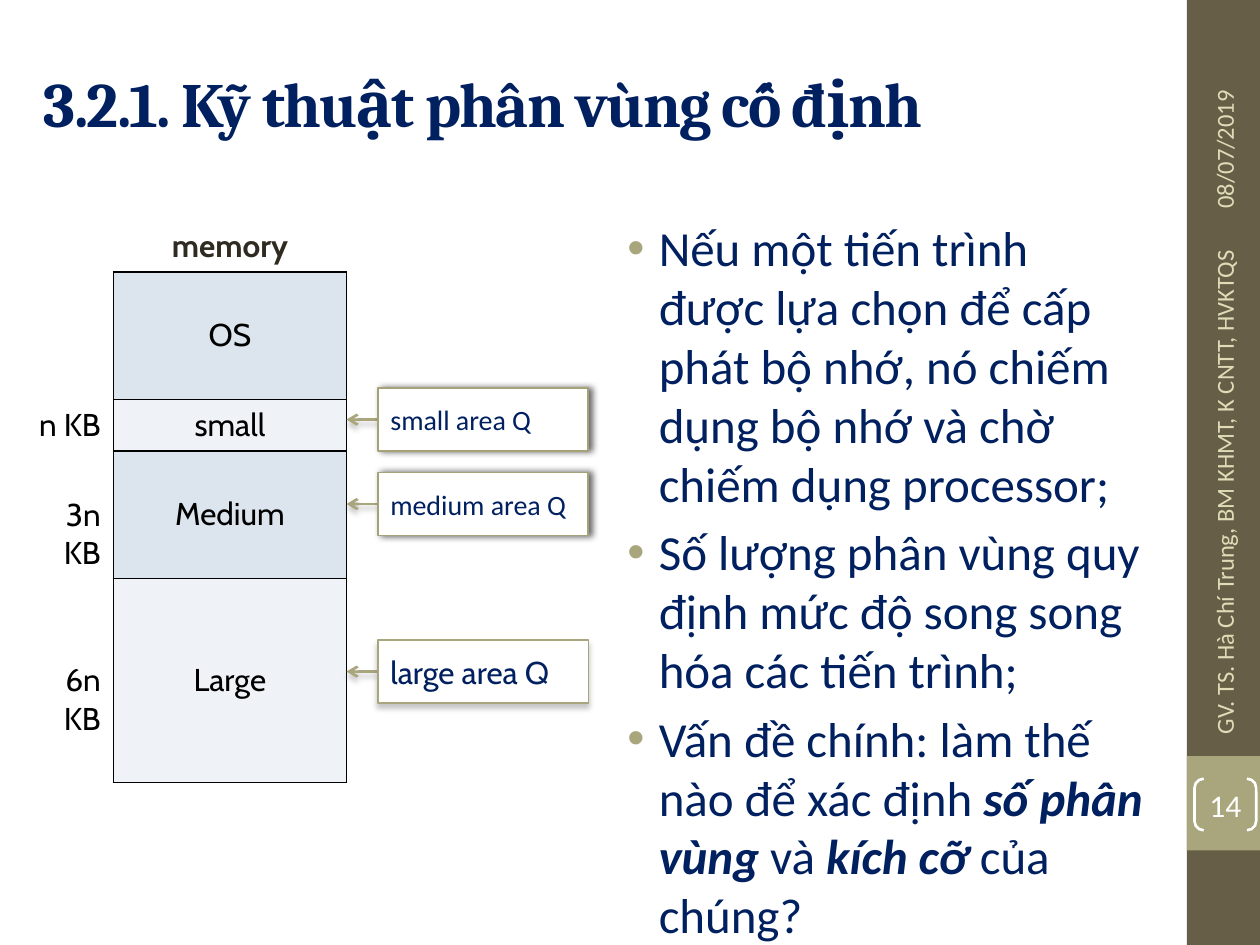
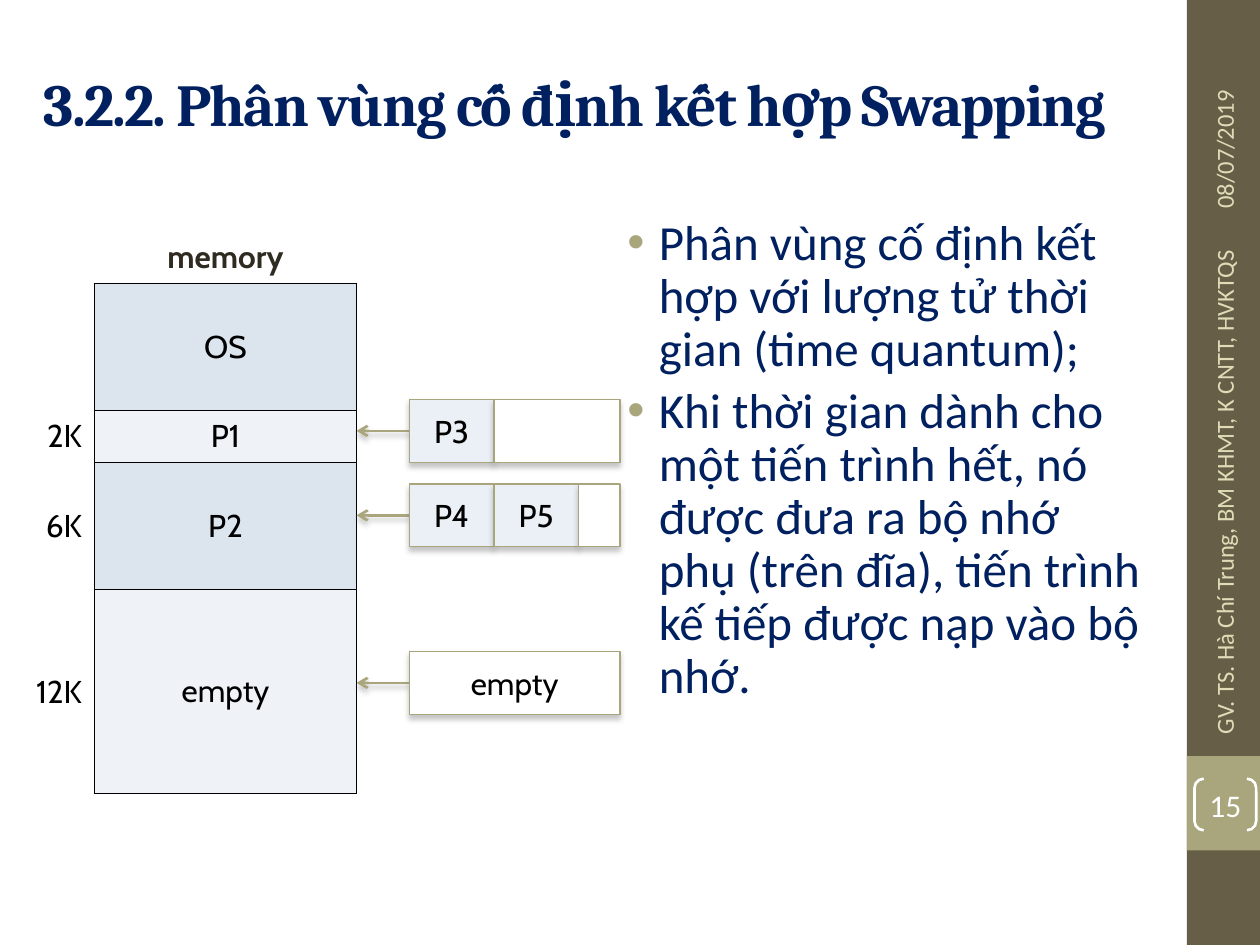
from pptx import Presentation
from pptx.dml.color import RGBColor as Rgb
from pptx.enum.shapes import MSO_CONNECTOR as Link, MSO_SHAPE as Kind
from pptx.enum.text import MSO_ANCHOR as Anchor, PP_ALIGN as Align
from pptx.oxml import parse_xml
from pptx.oxml.ns import nsdecls
from pptx.util import Inches, Pt

HUES = {
    "white": "FFFFFF", "black": "000000", "navy": "002060", "ink": "2F2B20",
    "band": "675E47", "olive": "A9A57C", "edge": "A6A278", "sand": "DFDCB7",
    "blue": "DCE5EE", "pale": "EFF3F7", "job": "EAF0F6", "gray": "808080",
}

FONTS = {
    "title": ({"name": "Cambria", "size": Pt(36), "bold": True}, "navy"),
    "body": ({"name": "Calibri", "size": Pt(28)}, "navy"),
    "foot": ({"name": "Calibri", "size": Pt(14)}, "sand"),
    "page": ({"name": "Calibri", "size": Pt(18)}, "white"),
    "head": ({"name": "Cabin", "size": Pt(18), "bold": True}, "ink"),
    "cell": ({"name": "Cabin", "size": Pt(18)}, "black"),
    "area": ({"name": "Calibri", "size": Pt(16)}, "navy"),
    "large": ({"name": "Cabin", "size": Pt(18)}, "navy"),
}

# hue, opacity %, blur pt, distance pt, angle
SOFT = ("gray", 45, 3, 2.4, 90)
SIDE = ("black", 60, 4, 2, 0)

LINE = 0.305  # height of one line of cell text
HEIGHTS = (0.41, 1.01, 0.41, 1.01, 1.62)
SKIPS = (0, 1, 0, 1, 2)  # lines above each size label
QUEUE_TOPS = (1.33, 2, 3.33)  # from the top of the memory table
QUEUE_H = 0.5
JOB_W = 0.67


def rgb(hue):
    return Rgb.from_string(HUES[hue])


def put(thing, values):
    for key, value in values.items():
        setattr(thing, key, value)


def write(para, text, style, **extra):
    values, hue = FONTS[style]
    run = para.add_run()
    run.text = text
    put(run.font, {**values, **extra})
    run.font.color.rgb = rgb(hue)
    return run


def shade(shape, hue, alpha, blur, dist, angle):
    """Give a shape or connector an outer shadow."""
    props = shape._element.spPr
    for old in props.findall("{*}effectLst"):
        props.remove(old)
    props.append(parse_xml(
        f'<a:effectLst {nsdecls("a")}><a:outerShdw blurRad="{Pt(blur)}" '
        f'dist="{Pt(dist)}" dir="{angle * 60000}" algn="ctr" rotWithShape="0">'
        f'<a:srgbClr val="{HUES[hue]}"><a:alpha val="{alpha * 1000}"/>'
        '</a:srgbClr></a:outerShdw></a:effectLst>'))


def shape_at(slide, kind, box, fill=None, line=None, width=1):
    shape = slide.shapes.add_shape(kind, *map(Inches, box))
    shape.shadow.inherit = False
    if fill:
        shape.fill.solid()
        shape.fill.fore_color.rgb = rgb(fill)
    else:
        shape.fill.background()
    if line:
        shape.line.color.rgb = rgb(line)
        shape.line.width = Pt(width)
    else:
        shape.line.fill.background()
    return shape


def text_at(slide, box, anchor=Anchor.MIDDLE, turn=0):
    shape = slide.shapes.add_textbox(*map(Inches, box))
    shape.rotation = turn
    put(shape.text_frame, {"word_wrap": True, "vertical_anchor": anchor})
    return shape.text_frame


def side_band(slide, box, page):
    left, top, width, height = box
    shape_at(slide, Kind.RECTANGLE, box, "band")
    shape_at(slide, Kind.RECTANGLE, (left, top + 6, width, 0.75), "olive")
    mid = left + 0.295
    notes = (("08/07/2019", 0.88, 1.75),
             ("GV. TS. Hà Chí Trung, BM KHMT, K CNTT, HVKTQS", 3.84, 4.17))
    for text, center, long in notes:
        area = (mid - long / 2, top + center - 0.2, long, 0.4)
        write(text_at(slide, area, turn=270).paragraphs[0], text, "foot")
    mark = shape_at(slide, Kind.DOUBLE_BRACKET,
                    (left + 0.06, top + 6.18, 0.49, 0.41), None, "white", 1.5)
    mark.adjustments[0] = 0.179
    frame = mark.text_frame
    put(frame, {f"margin_{side}": 0 for side in ("left", "right", "top", "bottom")})
    put(frame, {"vertical_anchor": Anchor.MIDDLE, "word_wrap": False})
    frame.paragraphs[0].alignment = Align.CENTER
    write(frame.paragraphs[0], str(page), "page")


def title(slide, box, text, size):
    run = write(text_at(slide, box).paragraphs[0], text, "title", size=Pt(size))
    run._r.get_or_add_rPr().set("spc", "-100")


def bullets(slide, box, items, pitch):
    """Write a bullet list; words between asterisks are bold italic."""
    frame = text_at(slide, box, Anchor.TOP)
    for i, item in enumerate(items):
        para = frame.add_paragraph() if i else frame.paragraphs[0]
        put(para, {"line_spacing": pitch, "space_before": Pt(5.6)})
        props = para._p.get_or_add_pPr()
        props.set("marL", str(Inches(0.38)))
        props.set("indent", str(Inches(-0.25)))
        for xml in (f'<a:buClr {nsdecls("a")}><a:srgbClr val="{HUES["olive"]}"/></a:buClr>',
                    f'<a:buFont {nsdecls("a")} typeface="Arial"/>',
                    f'<a:buChar {nsdecls("a")} char="•"/>'):
            props.append(parse_xml(xml))
        for k, piece in enumerate(item.split("*")):
            strong = k % 2 == 1
            write(para, piece, "body", bold=strong, italic=strong)


def dress(cell, fill, edges):
    """Set the left, right, top and bottom border hues, then the fill."""
    props = cell._tc.get_or_add_tcPr()
    for side, hue in zip("LRTB", edges):
        props.append(parse_xml(
            f'<a:ln{side} {nsdecls("a")} w="{Pt(1)}"><a:solidFill>'
            f'<a:srgbClr val="{HUES[hue]}"/></a:solidFill></a:ln{side}>'))
    if fill:
        cell.fill.solid()
        cell.fill.fore_color.rgb = rgb(fill)
    else:
        cell.fill.background()


def memory(slide, spot, widths, names, sizes):
    """Draw the partitions, with their sizes on the left."""
    left, top = spot
    area = (left, top, sum(widths), sum(HEIGHTS))
    table = slide.shapes.add_table(5, 2, *map(Inches, area)).table
    put(table, {"first_row": False, "horz_banding": False})
    for col, width in zip(table.columns, widths):
        col.width = Inches(width)
    rows = zip(HEIGHTS, SKIPS, ("memory", *names), ("", "", *sizes))
    for i, (height, skip, name, size) in enumerate(rows):
        table.rows[i].height = Inches(height)
        tag, part = table.cell(i, 0), table.cell(i, 1)
        if i:
            dress(tag, None, ("white", "black", "white", "white"))
            dress(part, "blue" if i % 2 else "pale", ["black"] * 4)
        else:
            dress(tag, "white", ["white"] * 4)
            dress(part, "white", ("white", "white", "white", "black"))
        tag.margin_top = Inches(0.05 + skip * LINE)
        part.vertical_anchor = Anchor.MIDDLE
        texts = ((tag, size, Align.RIGHT, "cell"),
                 (part, name, Align.CENTER, "cell" if i else "head"))
        for cell, text, align, style in texts:
            para = cell.text_frame.paragraphs[0]
            para.alignment = align
            if text:
                write(para, text, style)
            else:
                para.font.size = Pt(18)


def arrow(slide, start, end, y):
    link = slide.shapes.add_connector(
        Link.STRAIGHT, *map(Inches, (start, y, end, y)))
    link.line.color.rgb = rgb("olive")
    link.line.width = Pt(1.5)
    link.line._get_or_add_ln().append(
        parse_xml(f'<a:tailEnd {nsdecls("a")} type="arrow"/>'))
    shade(link, *SOFT)


def queue(slide, spot, edge, slots):
    """Draw a row of slots, with an arrow to the memory edge."""
    left, top = spot
    arrow(slide, left, edge, top + QUEUE_H / 2)
    for text, width, fill, style, align, line, weight, shadow in slots:
        slot = shape_at(slide, Kind.RECTANGLE, (left, top, width, QUEUE_H),
                        fill, line, weight)
        shade(slot, *shadow)
        if text:
            put(slot.text_frame, {"word_wrap": True, "vertical_anchor": Anchor.MIDDLE})
            para = slot.text_frame.paragraphs[0]
            para.alignment = align
            write(para, text, style)
        left += width


def area(text, style="area", line="edge", weight=1, shadow=SIDE):
    return text, 1.67, "white", style, Align.LEFT, line, weight, shadow


def job(text, width=JOB_W, fill="job"):
    return text, width, fill, "cell", Align.CENTER, "olive", 0.79, SOFT


def build(deck, page, head, size, items, pitch, spot, widths, names, sizes, start, queues):
    slide = deck.slides.add_slide(deck.slide_layouts[6])
    side_band(slide, (9.42, 0, 0.58, 7.5), page)
    title(slide, (0.25, 0.3, 8.92, 1.03), head, size)
    bullets(slide, (4.75, 1.68, 4.42, 5.65), items, pitch)
    memory(slide, spot, widths, names, sizes)
    for top, slots in zip(QUEUE_TOPS, queues):
        queue(slide, (start, spot[1] + top), spot[0] + sum(widths), slots)


def main():
    deck = Presentation()
    put(deck, {"slide_width": Inches(10), "slide_height": Inches(7.5)})
    build(
        deck, 14, "3.2.1. Kỹ thuật phân vùng cố định", 36,
        ("Nếu một tiến trình được lựa chọn để cấp phát bộ nhớ, nó chiếm dụng "
         "bộ nhớ và chờ chiếm dụng processor;",
         "Số lượng phân vùng quy định mức độ song song hóa các tiến trình;",
         "Vấn đề chính: làm thế nào để xác định *số phân vùng *và "
         "*kích cỡ *của chúng?"), 1.0,
        (0.08, 1.75), (0.82, 1.85),
        ("OS", "small", "Medium", "Large"), ("n KB", "3n KB", "6n KB"), 3,
        ([area("small area Q")], [area("medium area Q")],
         [area("large area Q", "large", "olive", 0.79, SOFT)]))
    build(
        deck, 15, "3.2.2. Phân vùng cố định kết hợp Swapping", 34,
        ("Phân vùng cố định kết hợp với lượng tử thời gian (time quantum);",
         "Khi thời gian dành cho một tiến trình hết, nó được đưa ra bộ nhớ phụ "
         "(trên đĩa), tiến trình kế tiếp được nạp vào bộ nhớ."), 0.9,
        (-0.17, 1.84), (0.92, 2.08),
        ("OS", "P1", "P2", "empty"), ("2K", "6K", "12K"), 3.25,
        ([job("P3"), job("", 1, "white")],
         [job("P4"), job("P5"), job("", 0.33, "white")],
         [job("empty", 1.67, "white")]))
    deck.save("out.pptx")


if __name__ == "__main__":
    main()
